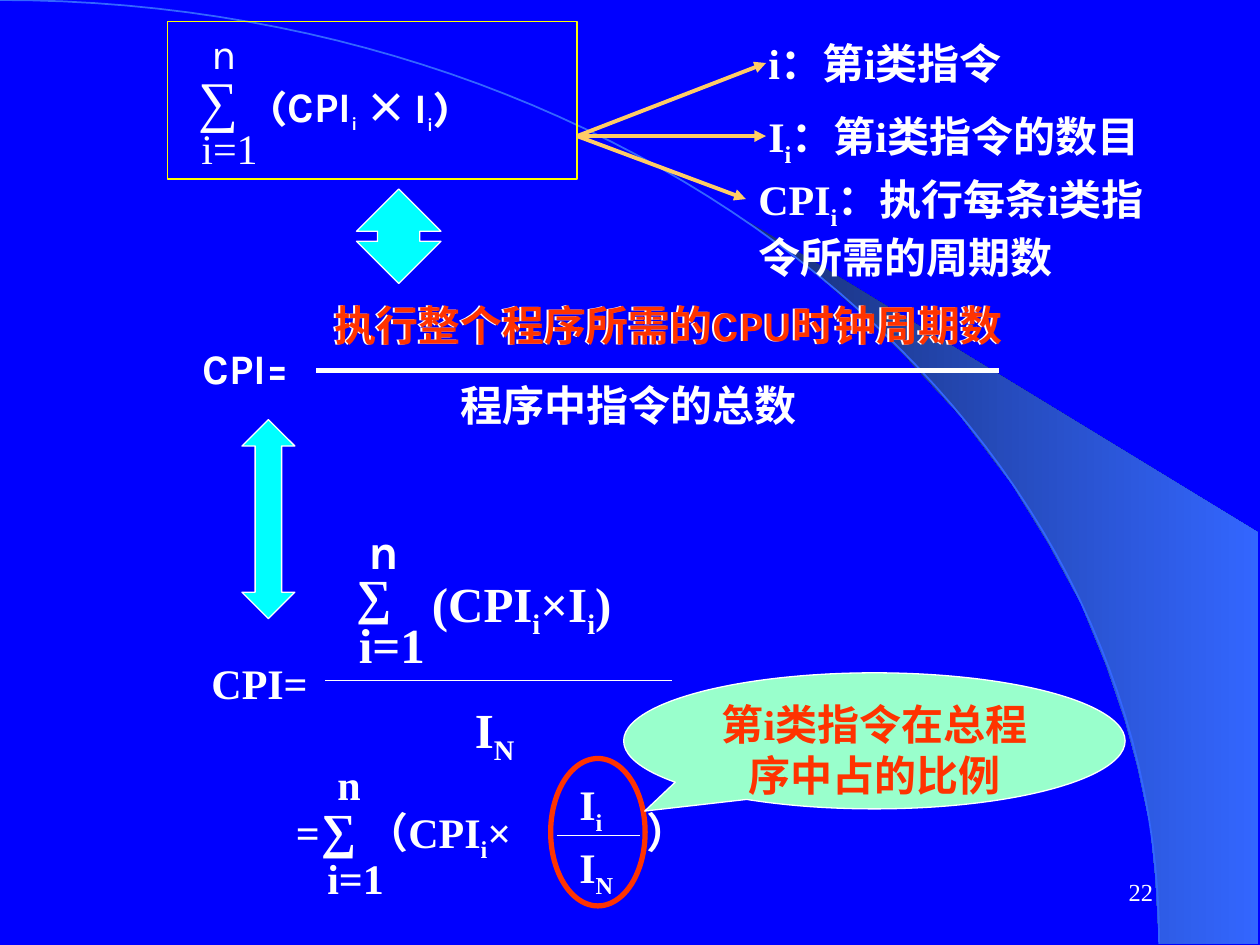
from lxml import etree
from pptx import Presentation
from pptx.dml.color import RGBColor
from pptx.enum import shapes, text
from pptx.oxml.ns import qn
from pptx.util import Inches, Pt

BLUE = RGBColor(0x00, 0x00, 0xFF)
NAVY = RGBColor(0x18, 0x2F, 0x76)
SKY = RGBColor(0x33, 0x66, 0xFF)
WHITE = RGBColor(0xFF, 0xFF, 0xFF)
RED = RGBColor(0xFF, 0x33, 0x00)
CYAN = RGBColor(0x00, 0xFF, 0xFF)
YELLOW = RGBColor(0xFF, 0xFF, 0x00)
ORANGE = RGBColor(0xFF, 0xCC, 0x66)
MINT = RGBColor(0x99, 0xFF, 0xCC)

SERIF, SANS, CJK = "Times New Roman", "Karla", "Noto Sans CJK SC"
CPU_CLOCKS = "执行整个程序所需的CPU时钟周期数"


def write(frame, content, size=24, font=SERIF, color=WHITE, bold=True,
          align=None, sizes=None, **frame_format):
    """Write one paragraph; pieces between underscores become subscripts."""
    for name, value in {"word_wrap": True, **frame_format}.items():
        setattr(frame, name, value)
    paragraph = frame.paragraphs[0]
    paragraph.alignment = align
    for index, piece in enumerate(content.split("_")):
        if not piece:
            continue
        run = paragraph.add_run()
        run.text = piece
        values = {"name": font, "size": Pt((sizes or {}).get(piece, size)), "bold": bold}
        for name, value in values.items():
            setattr(run.font, name, value)
        run.font.color.rgb = color
        properties = run._r.get_or_add_rPr()
        etree.SubElement(properties, qn("a:ea")).set("typeface", CJK)
        if index % 2:
            properties.set("baseline", "-25000")


def add_text(parent, left, top, width, height, content, **style):
    box = parent.add_textbox(Inches(left), Inches(top), Inches(width), Inches(height))
    write(box.text_frame, content, **style)


def add_line(parent, start, end, color=WHITE, width=0.75, arrow=False):
    line = parent.add_connector(shapes.MSO_CONNECTOR.STRAIGHT,
                                *(Inches(value) for value in (*start, *end)))
    line.line.color.rgb = color
    line.line.width = Pt(width)
    etree.SubElement(line._element.spPr, qn("a:effectLst"))
    if arrow:
        etree.SubElement(line.line._get_or_add_ln(), qn("a:tailEnd")).set("type", "triangle")


def add_outline(parent, kind, left, top, width, height, color=WHITE, line_width=0.75,
                fill=None, adjustments=()):
    shape = parent.add_shape(kind, Inches(left), Inches(top), Inches(width), Inches(height))
    shape.shadow.inherit = False
    shape.line.color.rgb = color
    shape.line.width = Pt(line_width)
    if fill is None:
        shape.fill.background()
    else:
        shape.fill.solid()
        shape.fill.fore_color.rgb = fill
    for index, value in enumerate(adjustments):
        shape.adjustments[index] = value
    return shape


def add_path(parent, points, close):
    corners = [(Inches(x), Inches(y)) for x, y in points]
    builder = parent.build_freeform(*corners[0])
    builder.add_line_segments(corners[1:], close=close)
    shape = builder.convert_to_shape()
    shape.shadow.inherit = False
    return shape


def draw_backdrop(parent, width, height):
    """Gradient beam and the large arc that bounds it."""
    beam = add_path(parent, [
        (9.2, height), (width, height), (width, 4.23), (5.89, 1.73), (6.24, 1.99),
        (6.53, 2.22), (6.85, 2.5), (7.16, 2.8), (7.62, 3.3), (8.03, 3.84), (8.32, 4.31),
        (8.58, 4.79), (8.78, 5.28), (8.93, 5.72), (9.03, 6.09), (9.13, 6.56), (9.17, 6.96),
    ], close=True)
    beam.line.fill.background()
    beam.fill.gradient()
    beam.fill.gradient_angle = 0
    for stop, color, position in zip(beam.fill.gradient_stops, (NAVY, SKY), (0, 1)):
        stop.color.rgb = color
        stop.position = position

    radius, steps = 9.2, 60
    points = []
    for step in range(steps + 1):
        t = step / steps
        s = 1 - t
        points.append((3 * s * s * t * 5.08 + (3 * s * t * t + t ** 3) * radius,
                       3 * s * t * t * 3.35 + t ** 3 * height))
    arc = add_path(parent, points, close=False)
    arc.fill.background()
    arc.line.color.rgb = SKY
    arc.line.width = Pt(1)


def draw_cycle_sum(parent, left, top, width, height):
    """Framed sum of cycles over all instruction classes."""
    add_text(parent, left + 1.47, top + 0.43, 0.52, 0.5, "×", font=CJK)
    small = {"i": 18}
    add_text(parent, left + 0.72, top + 0.42, 1.22, 0.53, "(CPI_i", font=SANS, sizes=small)
    add_text(parent, left + 1.86, top + 0.43, 1.2, 0.53, "I_i_)", font=SANS, sizes=small)
    add_text(parent, left + 0.25, top, 0.42, 0.5, "n", font=SANS, bold=False)
    add_text(parent, left + 0.15, top + 0.3, 0.51, 0.64, "∑", size=32, bold=False,
             word_wrap=False)
    add_text(parent, left + 0.17, top + 0.75, 0.92, 0.5, "i=1", bold=False)
    add_outline(parent, shapes.MSO_SHAPE.RECTANGLE, left, top, width, height, color=YELLOW)


def draw_legend(parent, left, top):
    """Arrows fanning out to the meaning of each symbol."""
    add_text(parent, left + 1.42, top - 0.83, 2.92, 0.5, "i：第i类指令")
    add_text(parent, left + 1.42, top - 0.25, 3.58, 0.56, "I_i_：第i类指令的数目")
    add_text(parent, left + 1.34, top + 0.25, 3.25, 0.96, "CPI_i_：执行每条i类指令所需的周期数")
    for across, down in ((1.5, 0), (1.34, 0.5), (1.5, -0.58)):
        add_line(parent, (left, top), (left + across, top + down), ORANGE, 2.25, arrow=True)


def draw_definition(parent, left, top):
    """CPI as clock cycles over instruction count."""
    add_text(parent, left, top + 0.34, 1.77, 0.5, "CPI=", font=SANS)
    add_line(parent, (left + 1, top + 0.61), (left + 6.42, top + 0.61), width=3)
    for offset, color in ((1.03, WHITE), (1.05, RED)):
        add_text(parent, left + offset, top, 6, 0.5, CPU_CLOCKS, font=SANS, color=color)
    add_text(parent, left + 2.05, top + 0.63, 3.03, 0.5, "程序中指令的总数", font=SANS)


def draw_sum_fraction(parent, left, top):
    """CPI as the cycle sum over I_N."""
    add_line(parent, (left + 1, top + 1.32), (left + 3.75, top + 1.32))
    add_text(parent, left, top + 1.09, 1, 0.5, "CPI=")
    add_text(parent, left + 2.09, top + 1.42, 0.67, 0.63, "I_N", size=28)
    add_text(parent, left + 1.25, top, 0.42, 0.57, "n", size=28, font=SANS)
    add_text(parent, left + 1.15, top + 0.36, 0.47, 0.57, "∑", size=28, word_wrap=False)
    add_text(parent, left + 1.17, top + 0.75, 0.92, 0.57, "i=1", size=28)
    add_text(parent, left + 1.75, top + 0.42, 2.17, 0.63, "(CPI_i_×I_i_)", size=28)


def draw_weighted_sum(parent, left, top):
    """Sum of CPI weighted by each class's share."""
    add_line(parent, (left + 2.17, top + 0.66), (left + 2.83, top + 0.66))
    add_text(parent, left, top + 0.38, 0.4, 0.5, "=")
    add_text(parent, left + 0.2, top + 0.33, 0.5, 0.57, "∑", size=28, word_wrap=False)
    add_text(parent, left + 0.56, top + 0.38, 1.7, 0.56, "（CPI_i_×")
    add_text(parent, left + 2.78, top + 0.38, 0.6, 0.5, "）")
    add_text(parent, left + 0.33, top, 0.25, 0.5, "n")
    add_text(parent, left + 0.25, top + 0.75, 0.67, 0.5, "i=1")
    add_text(parent, left + 2.25, top + 0.16, 0.5, 0.56, "I_i")
    add_text(parent, left + 2.25, top + 0.66, 0.67, 0.56, "I_N")


def draw_callout(parent, left, top):
    """Ring around the ratio and the balloon explaining it."""
    add_outline(parent, shapes.MSO_SHAPE.OVAL, left, top + 0.68, 0.75, 1.17, RED, 3)
    balloon = add_outline(parent, shapes.MSO_SHAPE.OVAL_CALLOUT, left + 0.58, top, 3.98, 1.08,
                          fill=MINT, adjustments=(-0.458, 0.516))
    write(balloon.text_frame, "第i类指令在总程序中占的比例", color=RED,
          align=text.PP_ALIGN.CENTER, vertical_anchor=text.MSO_ANCHOR.TOP)


def main():
    presentation = Presentation()
    presentation.slide_width, presentation.slide_height = Inches(10), Inches(7.5)
    slide = presentation.slides.add_slide(presentation.slide_layouts[6])
    slide.background.fill.solid()
    slide.background.fill.fore_color.rgb = BLUE

    draw_backdrop(slide.shapes, 9.99, 7.49)
    add_text(slide.shapes, 7.17, 6.83, 2.08, 0.5, "22", size=14, bold=False,
             align=text.PP_ALIGN.RIGHT, vertical_anchor=text.MSO_ANCHOR.MIDDLE)

    # Regions, each in its own group
    for draw, box in (
        (draw_definition, (1.51, 2.33)),
        (draw_sum_fraction, (1.58, 4.08)),
        (draw_cycle_sum, (1.33, 0.17, 3.25, 1.25)),
        (draw_legend, (4.58, 1.08)),
        (draw_weighted_sum, (2.25, 5.97)),
        (draw_callout, (4.37, 5.34)),
    ):
        draw(slide.shapes.add_group_shape().shapes, *box)

    # Double arrows linking the equivalent formulas
    for box, head in (((2.83, 1.5, 0.67, 0.75), 0.224), ((1.92, 3.33, 0.42, 1.58), 0.756)):
        add_outline(slide.shapes, shapes.MSO_SHAPE.UP_DOWN_ARROW, *box,
                    fill=CYAN, adjustments=(head, 0.5))

    presentation.save("out.pptx")


if __name__ == "__main__":
    main()
